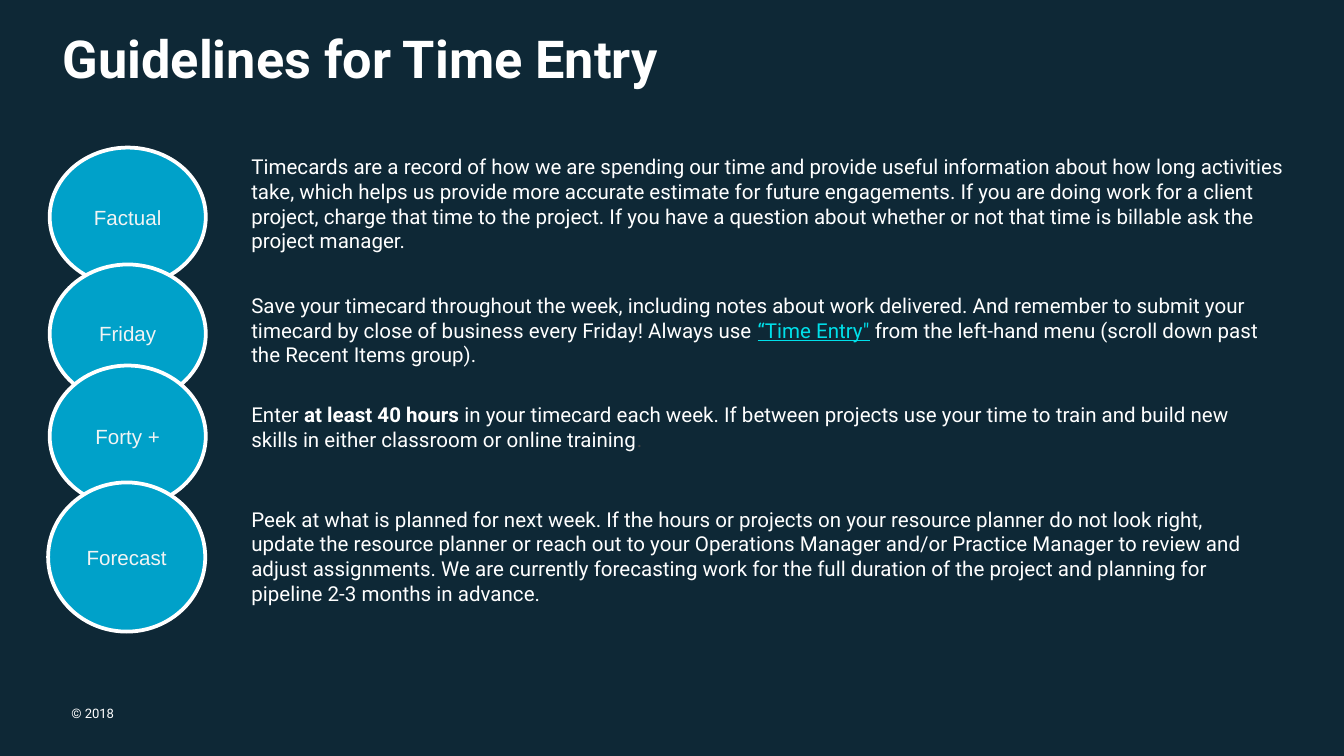
import pptx
import pptx.util
import pptx.dml.color
import pptx.enum.shapes
import pptx.enum.text

Cm, Pt = pptx.util.Cm, pptx.util.Pt
Kind = pptx.enum.shapes.MSO_SHAPE
Anchor = pptx.enum.text.MSO_ANCHOR
Align = pptx.enum.text.PP_ALIGN

# Content
WIDE, HIGH = 25.4, 14.29
NAVY, BLUE, CYAN = "0E2836", "00A1C9", "00E0EA"
WHITE, PALE, GRAY = "FFFFFF", "F2F4F4", "414042"
TITLE = "Guidelines for Time Entry"
FOOTER = "© 2018"

# Label, then left, top, width and height of its circle
CIRCLES = [
    ("Factual", 0.94, 2.79, 2.95, 2.62),
    ("Friday", 0.94, 5.0, 2.95, 2.62),
    ("Forty +", 0.94, 6.91, 2.95, 2.67),
    ("Forecast", 0.91, 9.12, 2.97, 2.82),
]

# Top, width, height, top inset, then runs of (text, colour, style)
NOTES = [
    (2.79, 20.5, 2.11, 0.13, [
        ("Timecards are a record of how we are spending our time and provide "
         "useful information about how long activities take, which helps us "
         "provide more accurate estimate for future engagements. If you are "
         "doing work for a client project, charge that time to the project. "
         "If you have a question about whether or not that time is billable "
         "ask the project manager.", WHITE, "")]),
    (4.95, 20.02, 2.69, 0.59, [
        ("Save your timecard throughout the week, including notes about work "
         "delivered. And remember to submit your timecard by close of business "
         "every Friday! Always use ", WHITE, ""),
        ("“Time Entry\"", CYAN, "line"),
        (" from the left-hand menu (scroll down past the Recent Items group).",
         WHITE, "")]),
    (7.01, 19.56, 2.24, 0.59, [
        ("Enter ", WHITE, ""),
        ("at least 40 hours ", WHITE, "bold"),
        ("in your timecard each week. If between projects use your time to "
         "train and build new skills in either classroom or online training",
         WHITE, ""),
        (".", GRAY, "")]),
    (9.45, 19.23, 2.72, 0.13, [
        ("Peek at what is planned for next week. If the hours or projects on "
         "your resource planner do not look right, update the resource planner "
         "or reach out to your Operations Manager and/or Practice Manager to "
         "review and adjust assignments. We are currently forecasting work for "
         "the full duration of the project and planning for pipeline 2-3 "
         "months in advance.", WHITE, "")]),
]


def tint(part, code):
    part.rgb = pptx.dml.color.RGBColor.from_string(code)


def paint(fill, code):
    fill.solid()
    tint(fill.fore_color, code)


def draw(kind, box, code):
    shape = slide.shapes.add_shape(kind, *map(Cm, box))
    shape.shadow.inherit = False
    paint(shape.fill, code)
    return shape


def write(frame, runs, size, face="Roboto"):
    frame.word_wrap = True
    para = frame.paragraphs[0]
    para.font.size, para.font.name = Pt(size), face
    for text, code, style in runs:
        run = para.add_run()
        run.text = text
        tint(run.font.color, code)
        if style == "bold":
            run.font.bold = True
        elif style == "line":
            run.font.underline = True
    return para


def label(box, runs, size):
    frame = slide.shapes.add_textbox(*map(Cm, box)).text_frame
    write(frame, runs, size)
    return frame


deck = pptx.Presentation()
deck.slide_width, deck.slide_height = Cm(WIDE), Cm(HIGH)
slide = deck.slides.add_slide(deck.slide_layouts[6])

# Backdrop
paint(slide.background.fill, PALE)
draw(Kind.RECTANGLE, (0, 0, WIDE, HIGH), NAVY).line.fill.background()

# Footer and title
foot = label((1.35, 13.34, 8.41, 0.3), [(FOOTER, WHITE, "")], 7)
foot.margin_left = foot.margin_right = foot.margin_top = foot.margin_bottom = 0
head = label((0.94, 0.33, 22.78, 1.52), [(TITLE, WHITE, "bold")], 28)
head.vertical_anchor = Anchor.MIDDLE

# Overlapping circles
for name, *box in CIRCLES:
    disc = draw(Kind.OVAL, box, BLUE)
    paint(disc.line.fill, WHITE)
    disc.line.width = Pt(2)
    frame = disc.text_frame
    frame.margin_left = frame.margin_right = 0
    frame.vertical_anchor = Anchor.MIDDLE
    write(frame, [(name, PALE, "")], 11, "Arial").alignment = Align.CENTER

# Guideline texts
for top, wide, high, inset, runs in NOTES:
    label((4.5, top, wide, high), runs, 11).margin_top = Cm(inset)

deck.save("out.pptx")
